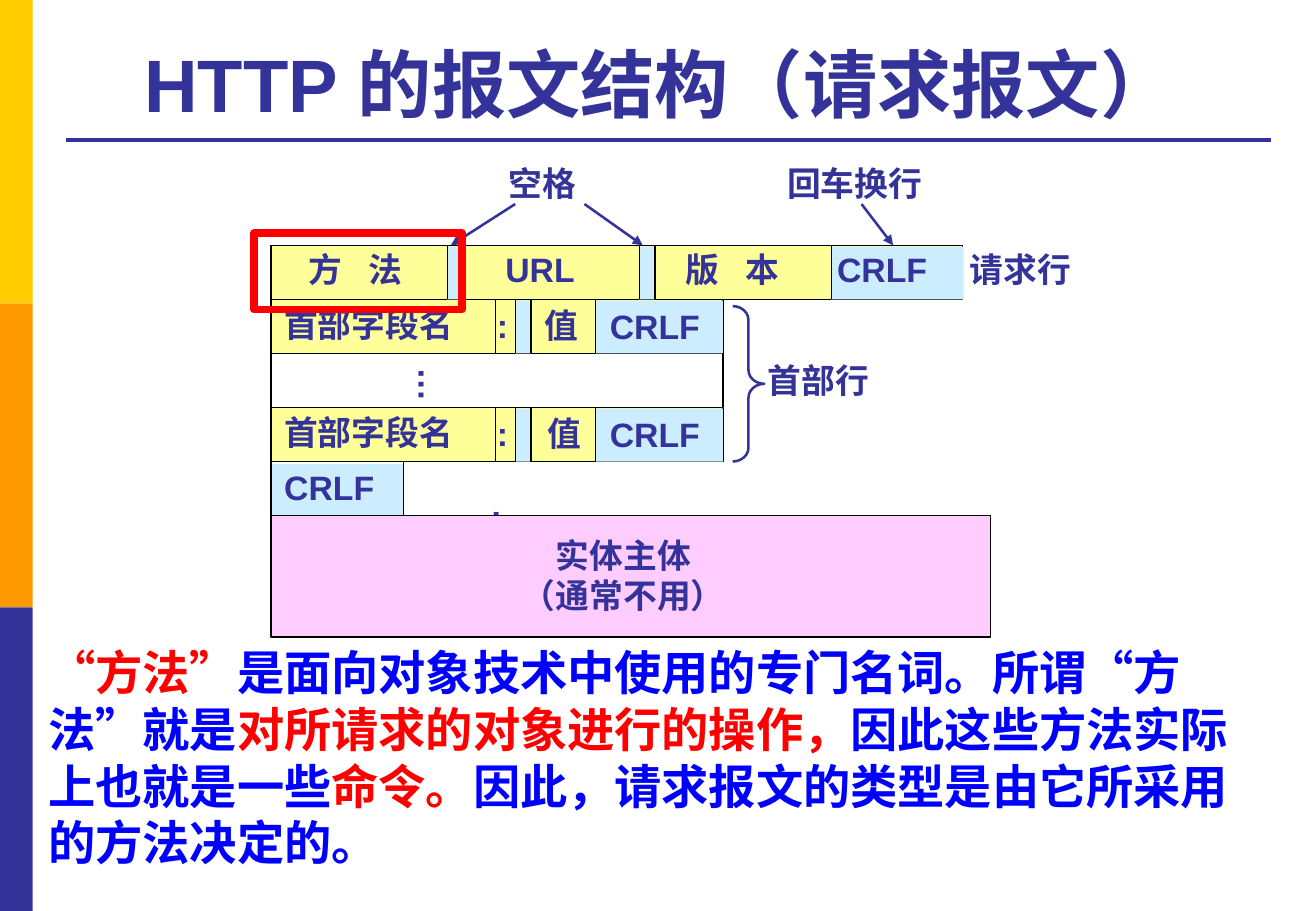
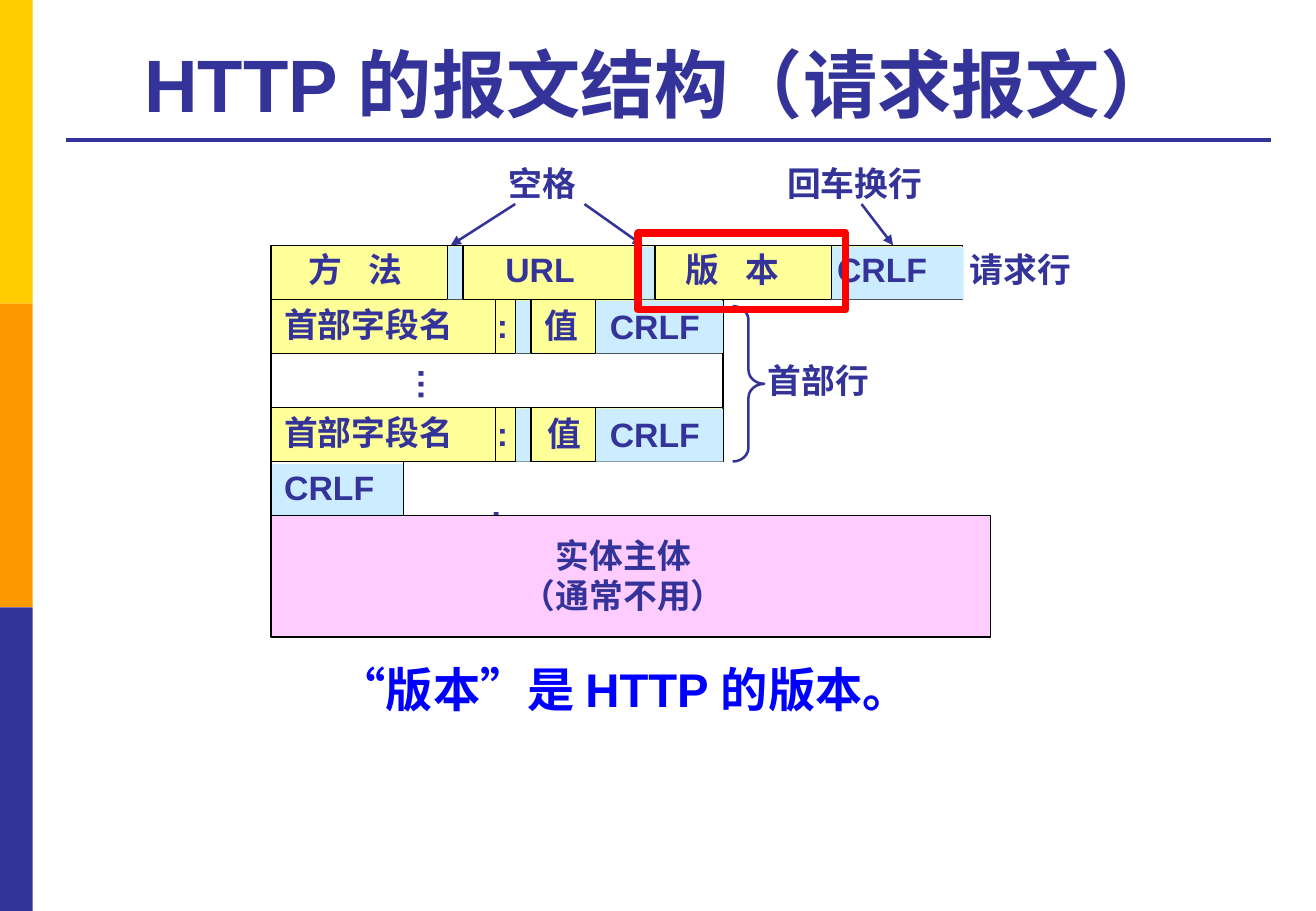
from lxml import etree
from pptx import Presentation
from pptx.dml.color import RGBColor
from pptx.enum.shapes import MSO_CONNECTOR, MSO_SHAPE
from pptx.enum.text import MSO_ANCHOR, MSO_AUTO_SIZE, PP_ALIGN
from pptx.oxml.ns import qn
from pptx.util import Inches, Pt

RECT, BRACE = MSO_SHAPE.RECTANGLE, MSO_SHAPE.RIGHT_BRACE
STRAIGHT = MSO_CONNECTOR.STRAIGHT
TOP, BOTTOM = MSO_ANCHOR.TOP, MSO_ANCHOR.BOTTOM
GROW, FIXED = MSO_AUTO_SIZE.SHAPE_TO_FIT_TEXT, MSO_AUTO_SIZE.NONE
LEFT, CENTER = PP_ALIGN.LEFT, PP_ALIGN.CENTER

LATIN, CJK = "Arial", "Noto Sans CJK SC"
COLORS = {
    "gold": "FFCC00", "orange": "FF9900", "navy": "333399",
    "yellow": "FFFF99", "sky": "CCECFF", "pink": "FFCCFF",
    "black": "000000", "red": "FF0000", "blue": "0000FF",
}
ROW_TOP, ROW_STEP, TABLE_LEFT = 2.02, 0.445, 2.23


def rgb(name):
    return RGBColor.from_string(COLORS[name])


def row_y(row):
    return ROW_TOP + row * ROW_STEP


class Deck:
    def __init__(self, width, height):
        self.prs = Presentation()
        self.prs.slide_width = Inches(width)
        self.prs.slide_height = Inches(height)
        self.slide = None

    def new_slide(self, title):
        self.slide = self.prs.slides.add_slide(self.prs.slide_layouts[6])
        # Side band in three equal parts, and the rule under the title
        for index, color in enumerate(("gold", "orange", "navy")):
            self.shape(0, 2.5 * index, 0.27, 2.5, color)
        self.line((0.54, 1.15), (10.46, 1.15), "navy", 2.25)
        self.text(0.55, 0.21, 9.9, 0.89, [[(title, "navy", LATIN)]], size=44,
                  align=CENTER, anchor=BOTTOM, wrap=True, fit=FIXED)

    def shape(self, x, y, w, h, fill=None, line=None, weight=0.75, kind=RECT):
        shape = self.slide.shapes.add_shape(
            kind, Inches(x), Inches(y), Inches(w), Inches(h))
        shape.shadow.inherit = False
        if fill:
            shape.fill.solid()
            shape.fill.fore_color.rgb = rgb(fill)
        else:
            shape.fill.background()
        if line:
            shape.line.color.rgb = rgb(line)
            shape.line.width = Pt(weight)
        else:
            shape.line.fill.background()
        return shape

    def line(self, start, end, color="black", weight=0.75, arrow=False):
        connector = self.slide.shapes.add_connector(
            STRAIGHT, *(Inches(value) for value in (*start, *end)))
        connector.line.color.rgb = rgb(color)
        connector.line.width = Pt(weight)
        if arrow:
            outline = connector.line._get_or_add_ln()
            etree.SubElement(outline, qn("a:tailEnd"), type="triangle")
        etree.SubElement(connector._element.spPr, qn("a:effectLst"))

    def text(self, x, y, w, h, paragraphs, size=20, align=LEFT, anchor=TOP,
             wrap=False, fit=GROW, tracking=0):
        """Each paragraph is a list of (text, colour, font) runs."""
        box = self.slide.shapes.add_textbox(
            Inches(x), Inches(y), Inches(w), Inches(h))
        frame = box.text_frame
        frame.word_wrap = wrap
        frame.auto_size = fit
        frame.vertical_anchor = anchor
        for index, runs in enumerate(paragraphs):
            paragraph = frame.add_paragraph() if index else frame.paragraphs[0]
            paragraph.alignment = align
            paragraph.line_spacing = Pt(1.2 * size)
            for words, color, font in runs:
                run = paragraph.add_run()
                run.text = words
                run.font.size = Pt(size)
                run.font.bold = True
                run.font.name = font
                run.font.color.rgb = rgb(color)
                properties = run._r.get_or_add_rPr()
                etree.SubElement(properties, qn("a:ea"), typeface=CJK)
                if tracking:
                    properties.set("spc", str(tracking))
        return box

    def label(self, x, y, w, *lines, h=0.44, align=LEFT, tracking=0):
        return self.text(x, y, w, h, [[(words, "navy", LATIN)] for words in lines],
                         align=align, tracking=tracking)

    def row(self, row, right, dividers, sky_cells):
        """A yellow row with sky-blue cells and vertical dividers."""
        y = row_y(row)
        self.shape(TABLE_LEFT, y, right - TABLE_LEFT, ROW_STEP, "yellow", "black")
        for start, end in sky_cells:
            self.shape(start, y + 0.01, end - start, ROW_STEP - 0.01, "sky")
        for x in dividers:
            self.divider(row, x)

    def divider(self, row, x):
        self.line((x, row_y(row)), (x, row_y(row + 1)))

    def request_message(self):
        # Header lines and request line
        for row in (3, 1):
            self.row(row, 5.95, (4.08, 4.24, 4.37, 4.9),
                     ((4.24, 4.37), (4.9, 5.95)))
        self.row(0, 7.92, (3.68, 3.81, 5.26, 5.39, 6.84),
                 ((3.68, 3.81), (5.26, 5.39), (6.84, 7.93)))

        # Omitted header lines and the closing empty line
        self.shape(TABLE_LEFT + 0.01, row_y(4) + 0.02, 1.08, 0.42, "sky")
        for row, x in ((2, TABLE_LEFT), (2, 5.95), (4, TABLE_LEFT), (4, 3.32)):
            self.divider(row, x)
        self.label(3.14, 2.94, 0.48, "…").rotation = 270

        # Request line wording
        for x, words in ((2.44, "方 法"), (5.54, "版 本")):
            self.label(x, 2, 0.99, words, tracking=550)
        for x, w, words in ((4.06, 0.78, "URL"), (6.79, 0.95, "CRLF"),
                            (7.88, 1.04, "请求行")):
            self.label(x, 2, w, words)

        # Header line wording
        for y, value_x in ((2.46, 4.38), (3.35, 4.41)):
            self.label(2.24, y - 0.01, 1.6, "首部字段名")
            self.label(3.99, y, 0.29, ":")
            self.label(value_x, y, 0.48, "值")
            self.label(4.92, y + 0.01, 0.95, "CRLF")
        self.label(2.24, 3.79, 0.95, "CRLF")
        self.label(3.94, 4.03, 0.29, ":")
        brace = self.shape(6.03, 2.52, 0.26, 1.28, line="navy", weight=1.5,
                           kind=BRACE)
        brace.adjustments[0] = 0.44
        self.label(6.22, 2.91, 1.04, "首部行")

        # Entity body
        self.shape(TABLE_LEFT, row_y(5), 5.92, 1, "pink", "black")
        self.label(4.19, 4.35, 1.88, "实体主体", "（通常不用）", h=0.77,
                   align=CENTER)

        # Callouts above the request line
        self.label(4.09, 1.29, 0.76, "空格")
        self.label(6.38, 1.29, 1.32, "回车换行")
        for start_x, end_x in ((4.81, 5.29), (4.24, 3.71), (7.09, 7.35)):
            self.line((start_x, 1.68), (end_x, ROW_TOP), "navy", 1.5, arrow=True)

    def highlight(self, x):
        self.shape(x, 1.92, 1.71, 0.63, line="red", weight=4.5)

    def explanation(self, x, y, w, h, runs):
        self.text(x, y, w, h, [runs], size=28, wrap=True)


TITLE = "HTTP 的报文结构（请求报文） "
deck = Deck(10.83, 7.5)

# Slide 1: the method field
deck.new_slide(TITLE)
deck.request_message()
deck.explanation(0.3, 5.25, 10.24, 1.97, [
    ("“方法”", "red", CJK),
    ("是面向对象技术中使用的专门名词。所谓“方法”就是", "blue", CJK),
    ("对所请求的对象进行的操作，", "red", CJK),
    ("因此这些方法实际上也就是一些", "blue", CJK),
    ("命令。", "red", CJK),
    ("因此，请求报文的类型是由它所采用的方法决定的。", "blue", CJK),
])
deck.highlight(2.09)

# Slide 2: the version field
deck.new_slide(TITLE)
deck.request_message()
deck.explanation(2.69, 5.39, 5.03, 0.57, [
    ("“版本”是 ", "blue", CJK),
    ("HTTP ", "blue", LATIN),
    ("的版本。", "blue", CJK),
])
deck.highlight(5.25)

deck.prs.save("out.pptx")
